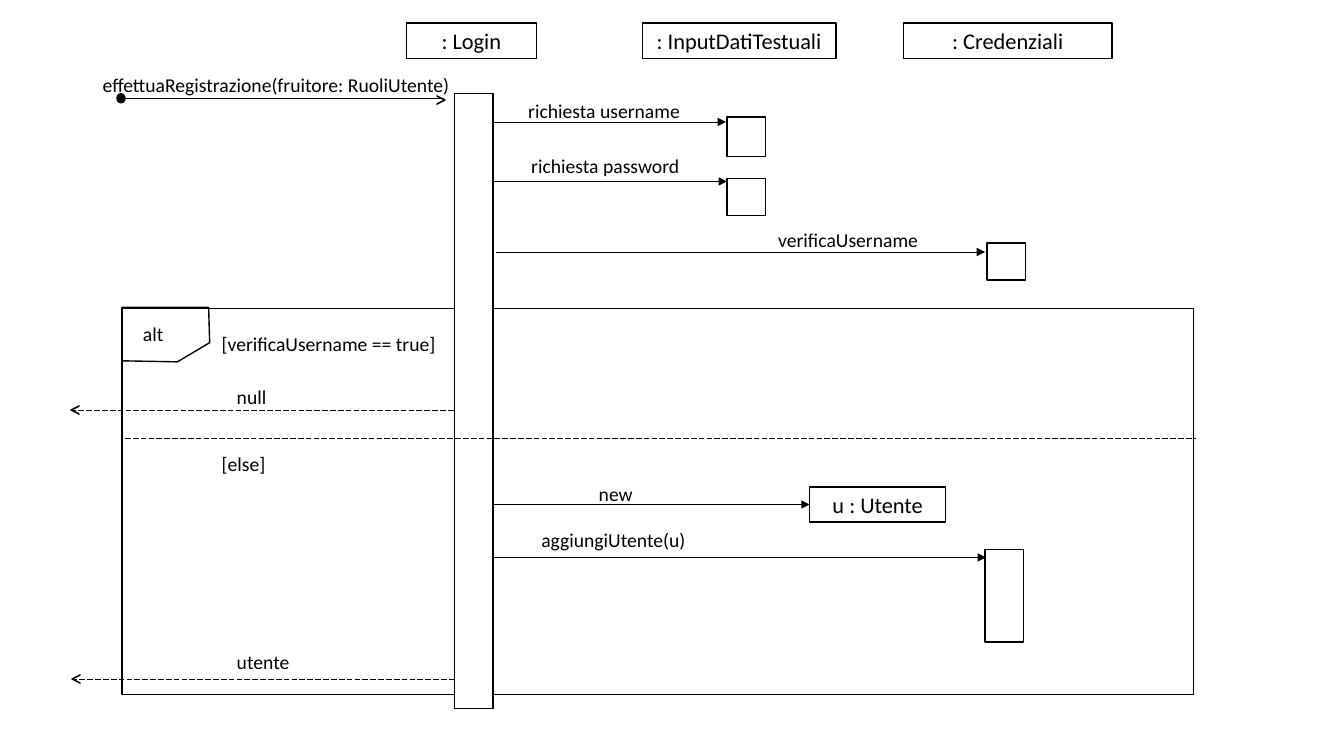
from lxml import etree
from pptx import Presentation
from pptx.dml.color import RGBColor
from pptx.enum import dml, shapes, text
from pptx.oxml.ns import qn
from pptx.util import Inches, Pt

FONT = "Calibri"
BLACK, WHITE = "000000", "FFFFFF"
BAR_W = 0.38
HEAD_H = 0.35
LABEL_H = 0.34


def color(value):
    return RGBColor.from_string(value)


def style(sp, fill=WHITE):
    sp.shadow.inherit = False
    if fill:
        sp.fill.solid()
        sp.fill.fore_color.rgb = color(fill)
    else:
        sp.fill.background()
    sp.line.color.rgb = color(BLACK)
    sp.line.width = Pt(1)


def write(p, words, size):
    r = p.add_run()
    r.text = words
    r.font.name = FONT
    r.font.size = Pt(size)
    r.font.color.rgb = color(BLACK)


def block(s, x, y, w, h, kind=shapes.MSO_SHAPE.RECTANGLE, fill=WHITE):
    sp = s.shapes.add_shape(kind, Inches(x), Inches(y), Inches(w), Inches(h))
    style(sp, fill)
    return sp


def participant(s, words, x, y, w):
    sp = block(s, x, y, w, HEAD_H)
    tf = sp.text_frame
    tf.vertical_anchor = text.MSO_ANCHOR.MIDDLE
    p = tf.paragraphs[0]
    p.alignment = text.PP_ALIGN.CENTER
    write(p, words, 16)
    return sp


def label(s, words, x, y, w, h=LABEL_H, size=14):
    sp = s.shapes.add_textbox(Inches(x), Inches(y), Inches(w), Inches(h))
    tf = sp.text_frame
    tf.word_wrap = True
    tf.auto_size = text.MSO_AUTO_SIZE.SHAPE_TO_FIT_TEXT
    write(tf.paragraphs[0], words, size)
    return sp


def open_head(s, x, y, rotation=0):
    label(s, ">", x, y, BAR_W, 0.4, 18).rotation = rotation


def rule(s, x1, x2, y, dashed=False, arrow=False):
    line = s.shapes.add_connector(
        shapes.MSO_CONNECTOR.STRAIGHT, Inches(x1), Inches(y), Inches(x2), Inches(y))
    line.line.color.rgb = color(BLACK)
    line.line.width = Pt(0.5)
    if dashed:
        line.line.dash_style = dml.MSO_LINE.LONG_DASH
    if arrow:
        ln = line.line._get_or_add_ln()
        etree.SubElement(ln, qn("a:tailEnd"), type="triangle")
    etree.SubElement(line._element.spPr, qn("a:effectLst"))
    return line


def participants(s, x, y):
    """Row of lifeline heads."""
    for words, dx, w in ((": Login", 0, 1.29),
                         (": InputDatiTestuali", 2.34, 1.92),
                         (": Credenziali", 4.93, 2.07)):
        participant(s, words, x + dx, y, w)


def entry_message(s, x, y, w):
    """Found message that starts the sequence."""
    block(s, x, y, 0.08, 0.09, shapes.MSO_SHAPE.OVAL, BLACK)
    rule(s, x + 0.08, x + w, y + 0.05)
    open_head(s, x + w - 0.19, y - 0.15)
    label(s, "effettuaRegistrazione(fruitore: RuoliUtente)", x - 0.24, y - 0.26, 3.75)


def input_calls(s, x, y):
    """Calls made from the right side of the Login bar."""
    # words, label dx, dy, w, h; line start, end, dy; target dx, dy, h
    calls = (
        ("richiesta username", 0.25, 0, 1.71, LABEL_H, 0, 2.31, 0.28, 2.32, 0.23, 0.39),
        ("richiesta password", 0.28, 0.55, 1.72, LABEL_H, 0, 2.32, 0.87, 2.32, 0.84, 0.37),
        ("verificaUsername", 2.73, 1.28, 1.78, 0.57, 0.03, 4.88, 1.57, 4.9, 1.48, 0.37),
    )
    for words, lx, ly, lw, lh, start, end, dy, bx, by, bh in calls:
        block(s, x + bx, y + by, BAR_W, bh)
        rule(s, x + start, x + end, y + dy, arrow=True)
        label(s, words, x + lx, y + ly, lw, lh)


def alt_frame(s, x, y, w, h):
    """Frame of the alternative with its cut-corner tab."""
    block(s, x, y, w, h)
    corners = [(0.87, 0.34), (0.55, 0.53), (0, 0.52), (0, -0.01), (0.86, -0.01)]
    (x0, y0), *rest = [(Inches(x + dx), Inches(y + dy)) for dx, dy in corners]
    outline = s.shapes.build_freeform(x0, y0)
    outline.add_line_segments(rest, close=True)
    style(outline.convert_to_shape(), None)
    label(s, "alt", x + 0.11, y + 0.08, 0.77)


def alt_branches(s, x, y, w, bar_x):
    """Guards, returns and calls inside the alternative."""
    label(s, "[verificaUsername == true]", x + 0.89, y + 0.18, 2.42)
    rule(s, x + 0.03, x + w + 0.02, y + 1.29, dashed=True)
    label(s, "[else]", x + 0.89, y + 1.37, 0.86)

    # Returns to the caller
    for words, dx, dy, ly in (("null", -0.51, 1.01, 0.71), ("utente", -0.5, 3.68, 3.34)):
        rule(s, x + dx, bar_x, y + dy, dashed=True)
        open_head(s, x + dx - 0.17, y + dy - 0.18, 180)
        label(s, words, x + 1.04, y + ly, 0.86)

    # Calls that create and add the user
    right = bar_x + BAR_W
    user = participant(s, "u : Utente", right + 3.14, y + 1.77, 1.35)
    create = rule(s, right, right + 3.14, y + 1.77 + HEAD_H / 2, arrow=True)
    create.end_connect(user, 1)
    label(s, "new", right + 0.95, y + 1.67, 0.77)
    block(s, right + 4.88, y + 2.39, BAR_W, 0.92)
    rule(s, right, right + 4.89, y + 2.47, arrow=True)
    label(s, "aggiungiUtente(u)", right + 0.38, y + 2.13, 1.79)


def sequence_slide(prs):
    s = prs.slides.add_slide(prs.slide_layouts[6])
    bar_x, bar_y = 4.51, 0.93
    frame_x, frame_y, frame_w, frame_h = 1.21, 3.06, 10.63, 3.83
    alt_frame(s, frame_x, frame_y, frame_w, frame_h)
    participants(s, 4.03, 0.23)
    block(s, bar_x, bar_y, BAR_W, 6.1)
    entry_message(s, 1.16, bar_y, 3.24)
    input_calls(s, bar_x + BAR_W, bar_y)
    alt_branches(s, frame_x, frame_y, frame_w, bar_x)


def main():
    prs = Presentation()
    prs.slide_width = Inches(13.33)
    prs.slide_height = Inches(7.5)
    sequence_slide(prs)
    prs.save("out.pptx")


if __name__ == "__main__":
    main()
